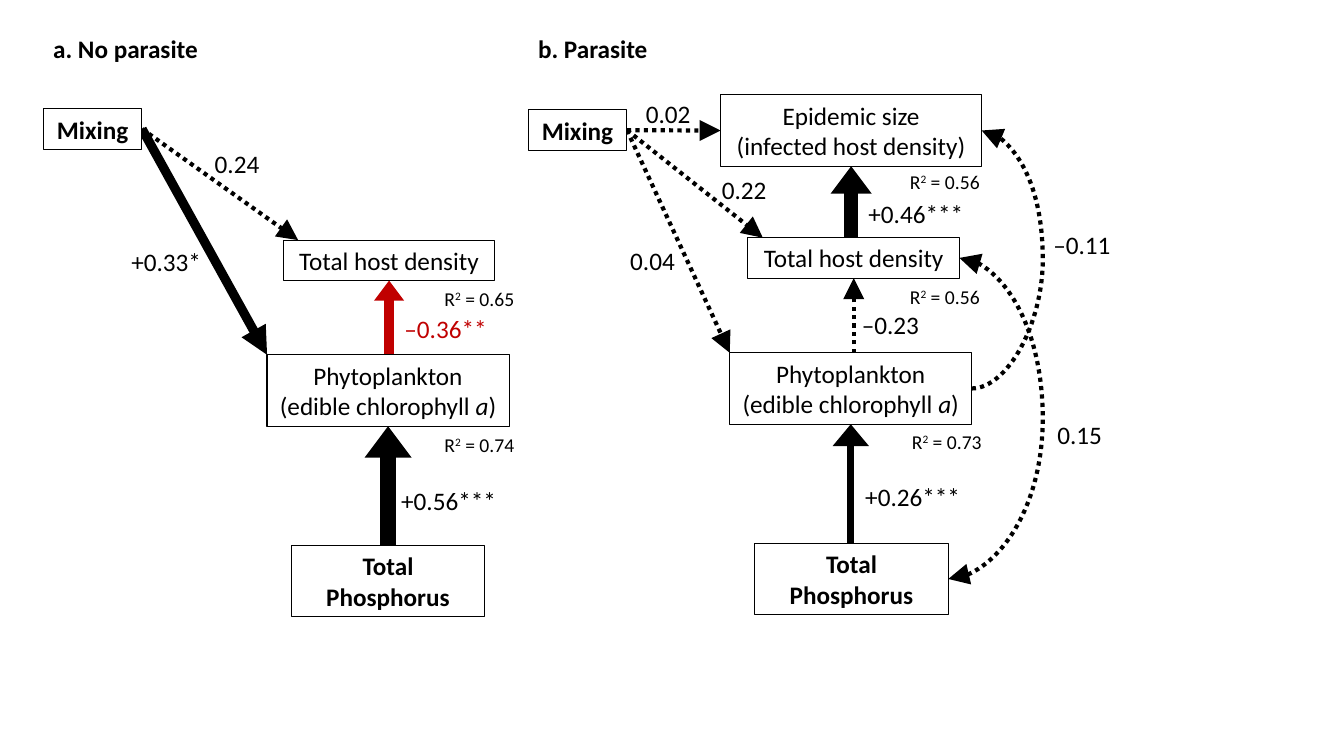
from lxml import etree
from pptx import Presentation
from pptx.dml.color import RGBColor
from pptx.enum.dml import MSO_LINE
from pptx.enum.shapes import MSO_CONNECTOR, MSO_SHAPE
from pptx.enum.text import MSO_ANCHOR, PP_ALIGN
from pptx.oxml.ns import qn
from pptx.util import Cm, Pt

LEFT, CENTER = PP_ALIGN.LEFT, PP_ALIGN.CENTER
MIDDLE = MSO_ANCHOR.MIDDLE
STRAIGHT, CURVE = MSO_CONNECTOR.STRAIGHT, MSO_CONNECTOR.CURVE
DOTTED = MSO_LINE.ROUND_DOT
COLORS = {"black": "000000", "red": "C00000", "white": "FFFFFF"}
FONT = "Calibri"
LINE_HEIGHT = 1.02
R2_SIZE = (2.34, 0.86)
BULGE_X = 26.28  # rightmost reach of the curved arrows

# Boxes: paragraphs of (text, style) runs, size in cm, bold, filled
BOXES = {
    "mixing": ([[("Mixing", "")]], (2.49, 1.02), True, True),
    "host": ([[("Total host density", "")]], (5.33, 1.02), False, False),
    "phytoplankton": ([[("Phytoplankton", "")],
                       [("(edible chlorophyll ", ""), ("a", "italic"), (")", "")]],
                      (6.1, 1.8), False, True),
    "phosphorus": ([[("Total Phosphorus", "")]], (4.88, 1.8), True, False),
    "epidemic": ([[("Epidemic size", "")], [("(infected host density)", "")]],
                 (6.58, 1.8), False, False),
}

# Arrows: source, target, route, width in pt, colour, head width, head length
# Path labels: text, left, top, width, colour; R2 labels: value, left, top
THIN = (3, "black", "lg", "lg")
PANELS = [
    {
        "heading": ("a. No parasite", 1.09),
        "boxes": {"mixing": (1.09, 2.74), "host": (7.14, 6.05),
                  "phytoplankton": (6.73, 8.94), "phosphorus": (7.34, 13.74)},
        "arrows": [
            ("phytoplankton", "host", "up", 7.2, "red", "med", "sm"),
            ("phosphorus", "phytoplankton", "up", 11.2, "black", "med", "sm"),
            ("mixing", "host", "top", *THIN),
            ("mixing", "phytoplankton", "corner", 6.6, "black", "med", "med"),
        ],
        "labels": [
            ("–0.36**", 9.86, 7.77, 2.74, "red"),
            ("+0.56***", 9.83, 12.09, 2.95, "black"),
            ("0.24", 5.05, 3.61, 1.85, "black"),
            ("+0.33*", 2.87, 6.07, 2.64, "black"),
        ],
        "r2": [("0.74", 10.95, 10.77), ("0.65", 10.95, 7.09)],
    },
    {
        "heading": ("b. Parasite", 13.31),
        "boxes": {"mixing": (13.31, 2.77), "host": (18.85, 5.99),
                  "phytoplankton": (18.39, 8.89), "phosphorus": (19.02, 13.69),
                  "epidemic": (18.16, 2.39)},
        "arrows": [
            ("phytoplankton", "host", "up", *THIN),
            ("mixing", "epidemic", "side", *THIN),
            ("host", "epidemic", "up", 9.8, "black", "med", "sm"),
            ("mixing", "host", "top", *THIN),
            ("phosphorus", "phytoplankton", "up", 5.2, "black", "lg", "med"),
            ("mixing", "phytoplankton", "corner", *THIN),
            ("host", "phosphorus", "curve both", *THIN),
            ("phytoplankton", "epidemic", "curve", *THIN),
        ],
        "labels": [
            ("+0.46***", 21.49, 4.88, 3.18, "black"),
            ("+0.26***", 21.44, 12.01, 3.12, "black"),
            ("–0.23", 21.36, 7.67, 2.16, "black"),
            ("0.02", 15.8, 2.36, 2.08, "black"),
            ("0.22", 17.75, 4.27, 2.01, "black"),
            ("0.15", 26.04, 10.44, 2.34, "black"),
            ("0.04", 15.52, 6.05, 1.85, "black"),
            ("–0.11", 26.06, 5.64, 2.41, "black"),
        ],
        "r2": [("0.73", 22.73, 10.69), ("0.56", 22.68, 4.14), ("0.56", 22.68, 7.04)],
    },
]
# Where an arrow leaves and arrives, as fractions of box width and height
ROUTES = {
    "up": ((0.5, 0), (0.5, 1)),
    "side": ((1, 0.5), (0, 0.5)),
    "top": ((1, 0.5), (0.07, 0)),
    "corner": ((1, 0.5), (0, 0)),
    "curve": ((1, 0.5), (1, 0.5)),
    "curve both": ((1, 0.5), (1, 0.5)),
}


def rgb(name):
    return RGBColor.from_string(COLORS[name])


def write_text(shape, paragraphs, size=18, color="black", bold=False, align=CENTER):
    frame = shape.text_frame
    frame.word_wrap = True
    frame.vertical_anchor = MIDDLE
    for index, runs in enumerate(paragraphs):
        paragraph = frame.add_paragraph() if index else frame.paragraphs[0]
        paragraph.alignment = align
        for text, style in runs:
            run = paragraph.add_run()
            run.text = text
            run.font.name, run.font.size = FONT, Pt(size)
            run.font.bold, run.font.italic = bold, style == "italic"
            run.font.color.rgb = rgb(color)
            if style == "superscript":
                run.font._element.set("baseline", "30000")


def add_label(shapes, runs, left, top, width, height=LINE_HEIGHT, **text_format):
    label = shapes.add_textbox(Cm(left), Cm(top), Cm(width), Cm(height))
    write_text(label, [runs], **text_format)


def add_box(shapes, name, position):
    paragraphs, size, bold, filled = BOXES[name]
    box = shapes.add_shape(MSO_SHAPE.RECTANGLE, *map(Cm, position + size))
    box.shadow.inherit = False
    if filled:
        box.fill.solid()
        box.fill.fore_color.rgb = rgb("white")
    else:
        box.fill.background()
    box.line.color.rgb = rgb("black")
    box.line.width = Pt(0.75)
    write_text(box, paragraphs, bold=bold)


def box_point(positions, name, fractions):
    return [start + length * fraction for start, length, fraction
            in zip(positions[name], BOXES[name][1], fractions)]


def add_arrow(shapes, positions, source, target, route, width, color, head_width, head_length):
    start, end = (box_point(positions, name, fractions)
                  for name, fractions in zip((source, target), ROUTES[route]))
    if route == "up":
        start[0] = end[0]
    curved = route.startswith("curve")
    arrow = shapes.add_connector(CURVE if curved else STRAIGHT, *map(Cm, start + end))
    arrow.line.color.rgb = rgb(color)
    arrow.line.width = Pt(width)
    if width == THIN[0]:
        arrow.line.dash_style = DOTTED
    properties = arrow._element.spPr
    if curved:
        guides = properties.find(qn("a:prstGeom")).get_or_add_avLst()
        bend = round(100000 * (BULGE_X - start[0]) / (end[0] - start[0]))
        etree.SubElement(guides, qn("a:gd"), name="adj1", fmla=f"val {bend}")
    for tag in ("a:headEnd", "a:tailEnd") if route == "curve both" else ("a:tailEnd",):
        etree.SubElement(properties.find(qn("a:ln")), qn(tag),
                         type="triangle", w=head_width, len=head_length)
    etree.SubElement(properties, qn("a:effectLst"))


presentation = Presentation()
presentation.slide_width, presentation.slide_height = Cm(33.87), Cm(19.05)
slide = presentation.slides.add_slide(presentation.slide_layouts[6])

# One group for each path diagram
for panel in PANELS:
    shapes = slide.shapes.add_group_shape().shapes
    heading, left = panel["heading"]
    add_label(shapes, [(heading, "")], left, 0.71, 10.44, bold=True, align=LEFT)
    for arrow in panel["arrows"]:
        add_arrow(shapes, panel["boxes"], *arrow)
    for name, position in panel["boxes"].items():
        add_box(shapes, name, position)
    for text, left, top, width, color in panel["labels"]:
        add_label(shapes, [(text, "")], left, top, width, color=color)
    for value, left, top in panel["r2"]:
        add_label(shapes, [("R", ""), ("2", "superscript"), (f" = {value}", "")],
                  left, top, *R2_SIZE, size=14, align=LEFT)

presentation.save("out.pptx")
